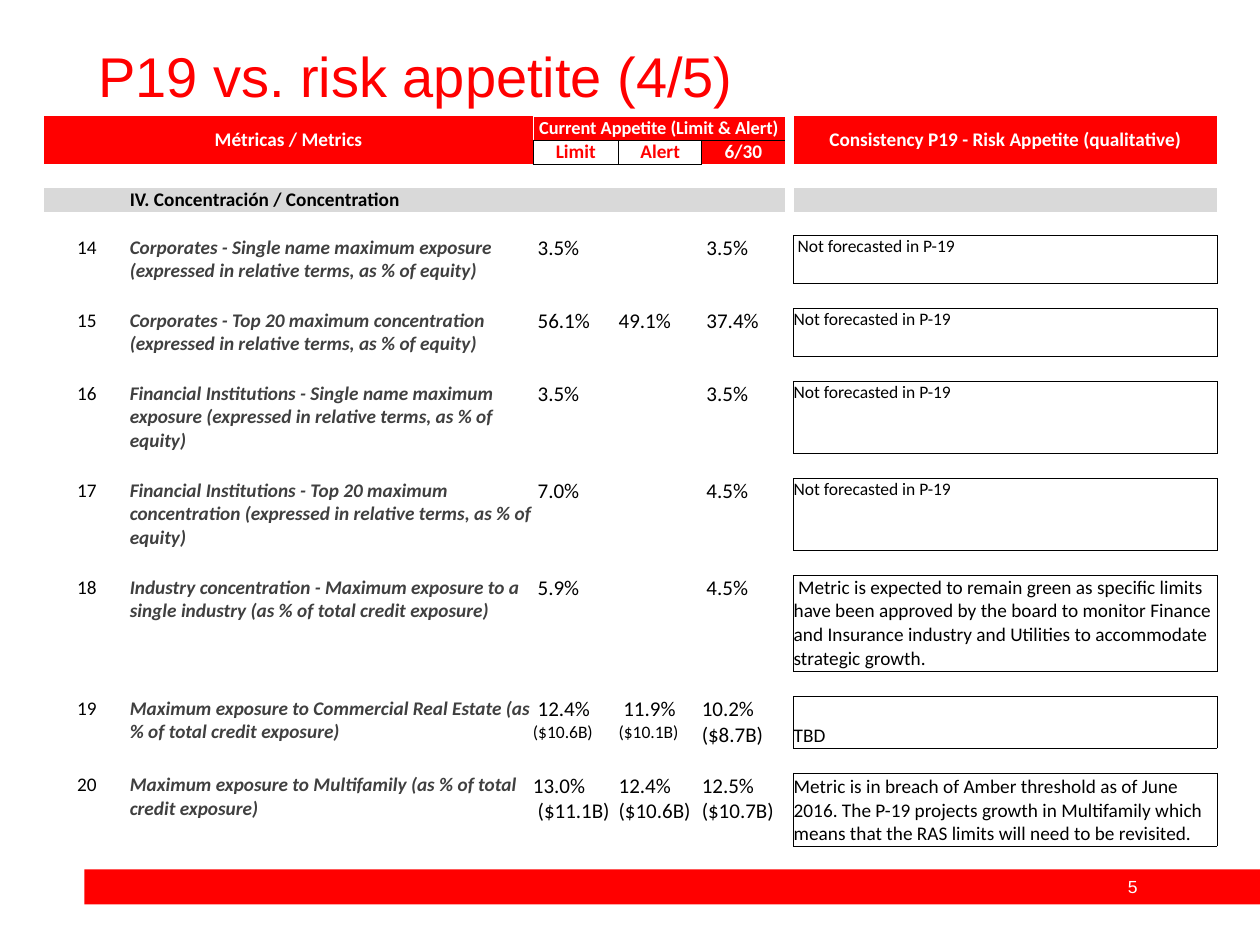
from pptx import Presentation
from pptx.dml.color import RGBColor as Color
from pptx.enum.shapes import MSO_SHAPE as Shape
from pptx.enum.text import MSO_ANCHOR as Anchor, PP_ALIGN as Align
from pptx.oxml.ns import qn
from pptx.util import Inches, Pt
from lxml import etree

COLORS = {"red": "FF0000", "white": "FFFFFF", "black": "000000",
          "gray": "D9D9D9", "dark": "404040"}
NO_STYLE = "{2D5ABB26-0587-4C30-8999-92F81FD0307C}"

deck = Presentation()
deck.slide_width, deck.slide_height = Inches(10), Inches(7.5)
page = deck.slides.add_slide(deck.slide_layouts[6])
WIDE, HIGH = deck.slide_width, deck.slide_height
LINE = HIGH * 0.0253  # one line of table text
GAP = 1.06            # spacer row, in lines


def write(frame, lines, sizes, color, font="Calibri", bold=False, italic=False,
          align=Align.LEFT):
    """Fill a text frame; the last size holds for all remaining lines."""
    frame.text = "\n".join(lines)
    for i, para in enumerate(frame.paragraphs):
        para.alignment = align
        for span in para.runs:
            span.font.name = font
            span.font.size = Pt(sizes[min(i, len(sizes) - 1)])
            span.font.color.rgb = Color.from_string(COLORS[color])
            span.font.bold, span.font.italic = bold, italic


def finish(cell, fill="white", border=None, sides="LRTB"):
    """Set margins, borders and fill of a table cell."""
    cell.margin_left = cell.margin_right = cell.margin_top = cell.margin_bottom = 0
    props = cell._tc.get_or_add_tcPr()
    for side in sides if border else "":
        line = etree.SubElement(props, qn(f"a:ln{side}"), w=str(Pt(0.5)))
        solid = etree.SubElement(line, qn("a:solidFill"))
        etree.SubElement(solid, qn("a:srgbClr"), val=COLORS[border])
    cell.fill.solid()
    cell.fill.fore_color.rgb = Color.from_string(COLORS[fill])
    # Small type in blank cells lets the spacer rows stay low
    for para in cell.text_frame.paragraphs:
        if not para.runs:
            etree.SubElement(para._p, qn("a:endParaRPr"), sz="800")


# Footer band and page number
band = page.shapes.add_shape(Shape.RECTANGLE, int(WIDE * 0.067), int(HIGH * 0.92),
                             int(WIDE * 0.933), int(HIGH * 0.037))
band.shadow.inherit = False
band.fill.solid()
band.fill.fore_color.rgb = Color.from_string(COLORS["red"])
band.line.fill.background()

# Text boxes: left, top, width, height as shares of the slide
for text, share, size, color, align in [
        ("5", (0.871, 0.92, 0.056, 0.036), 10, "white", Align.CENTER),
        ("P19 vs. risk appetite (4/5)", (0.068, 0.041, 0.862, 0.076), 32, "red",
         Align.LEFT)]:
    left, top, width, height = share
    box = page.shapes.add_textbox(int(WIDE * left), int(HIGH * top),
                                  int(WIDE * width), int(HIGH * height))
    box.text_frame.word_wrap = True
    box.text_frame.vertical_anchor = Anchor.MIDDLE
    write(box.text_frame, [text], [size], color, font="Arial", align=align)

# Metrics: rows of text high, name, limit, alert, current, comment, comment size
EQUITY = "(expressed in relative terms, as % of equity)"
CREDIT = "(as % of total credit exposure)"
FORECAST = "Not forecasted in P-19"
metrics = [
    (2, f"Corporates - Single name maximum exposure {EQUITY}",
     " 3.5%", "", " 3.5%", " " + FORECAST, 10),
    (2, f"Corporates - Top 20 maximum concentration {EQUITY}",
     " 56.1%", "49.1%", " 37.4%", FORECAST, 10),
    (3, f"Financial Institutions - Single name maximum exposure {EQUITY}",
     " 3.5%", "", " 3.5%", FORECAST, 10),
    (3, f"Financial Institutions - Top 20 maximum concentration {EQUITY}",
     " 7.0%", "", " 4.5%", FORECAST, 10),
    (4, f"Industry concentration - Maximum exposure to a single industry {CREDIT}",
     " 5.9%", "", " 4.5%",
     " Metric is expected to remain green as specific limits have been approved by "
     "the board to monitor Finance and Insurance industry and Utilities to "
     "accommodate strategic growth.", 11),
    (2.15, f"Maximum exposure to Commercial Real Estate {CREDIT}",
     " 12.4%\n($10.6B)", " 11.9%\n($10.1B)", "10.2% ($8.7B)", "TBD", 11),
    (3.05, f"Maximum exposure to Multifamily {CREDIT}",
     "13.0%\n ($11.1B)", "12.4%\n($10.6B)", "12.5% ($10.7B)",
     "Metric is in breach of Amber threshold as of June 2016. The P-19 projects "
     "growth in Multifamily which means that the RAS limits will need to be "
     "revisited.", 11),
]

# Table grid
columns = [0.068, 0.32, 0.068, 0.066, 0.066, 0.007, 0.336]
rows = [1] * 5
for metric in metrics:
    rows += [metric[0], GAP]
rows.pop()
holder = page.shapes.add_table(len(rows), len(columns), int(WIDE * 0.035),
                               int(HIGH * 0.123), int(WIDE * sum(columns)),
                               int(LINE * sum(rows)))
table = holder.table
table.first_row = table.horz_banding = False
holder._element.find(".//" + qn("a:tableStyleId")).text = NO_STYLE
for column, share in zip(table.columns, columns):
    column.width = int(WIDE * share)
for row, lines in zip(table.rows, rows):
    row.height = int(LINE * lines)

# Header rows
table.cell(0, 0).merge(table.cell(1, 1))
table.cell(0, 2).merge(table.cell(0, 4))
table.cell(0, 6).merge(table.cell(1, 6))
for row, col, text, size, color in [
        (0, 0, "Métricas / Metrics", 11, "white"),
        (0, 2, "Current Appetite (Limit & Alert)", 10.5, "white"),
        (0, 6, "Consistency P19 - Risk Appetite (qualitative)", 11, "white"),
        (1, 2, "Limit", 11, "red"), (1, 3, "Alert", 11, "red"),
        (1, 4, "6/30", 11, "white")]:
    cell = table.cell(row, col)
    write(cell.text_frame, [text], [size], color, bold=True, align=Align.CENTER)
    cell.vertical_anchor = Anchor.MIDDLE

# Section row
write(table.cell(3, 1).text_frame, ["IV. Concentración / Concentration"], [11],
      "black", bold=True)

# Metric rows
for i, (_, name, *values, comment, size) in enumerate(metrics):
    row = 5 + 2 * i
    write(table.cell(row, 0).text_frame, [str(14 + i)], [11], "black",
          align=Align.CENTER)
    write(table.cell(row, 1).text_frame, [name], [11], "dark", bold=True, italic=True)
    for col, value in enumerate(values, 2):
        sizes = [12, 10] if i == 5 else [12]
        write(table.cell(row, col).text_frame, value.split("\n"), sizes, "black")
    write(table.cell(row, 6).text_frame, [comment], [size], "black")
    if i >= 5:
        table.cell(row, 6).vertical_anchor = Anchor.BOTTOM

# Fills and borders
for row in range(len(rows)):
    for col in range(len(columns)):
        cell = table.cell(row, col)
        if row == 1 and col in (2, 3):
            finish(cell, border="black")
        elif row == 0 and col in (2, 3, 4):
            finish(cell, "red", "white", "LRT")
        elif row < 2 and col != 5:
            finish(cell, "red")
        elif row == 3 and col != 5:
            finish(cell, "gray")
        elif row >= 5 and row % 2 and col == 6:
            finish(cell, border="black")
        else:
            finish(cell)

deck.save("out.pptx")
